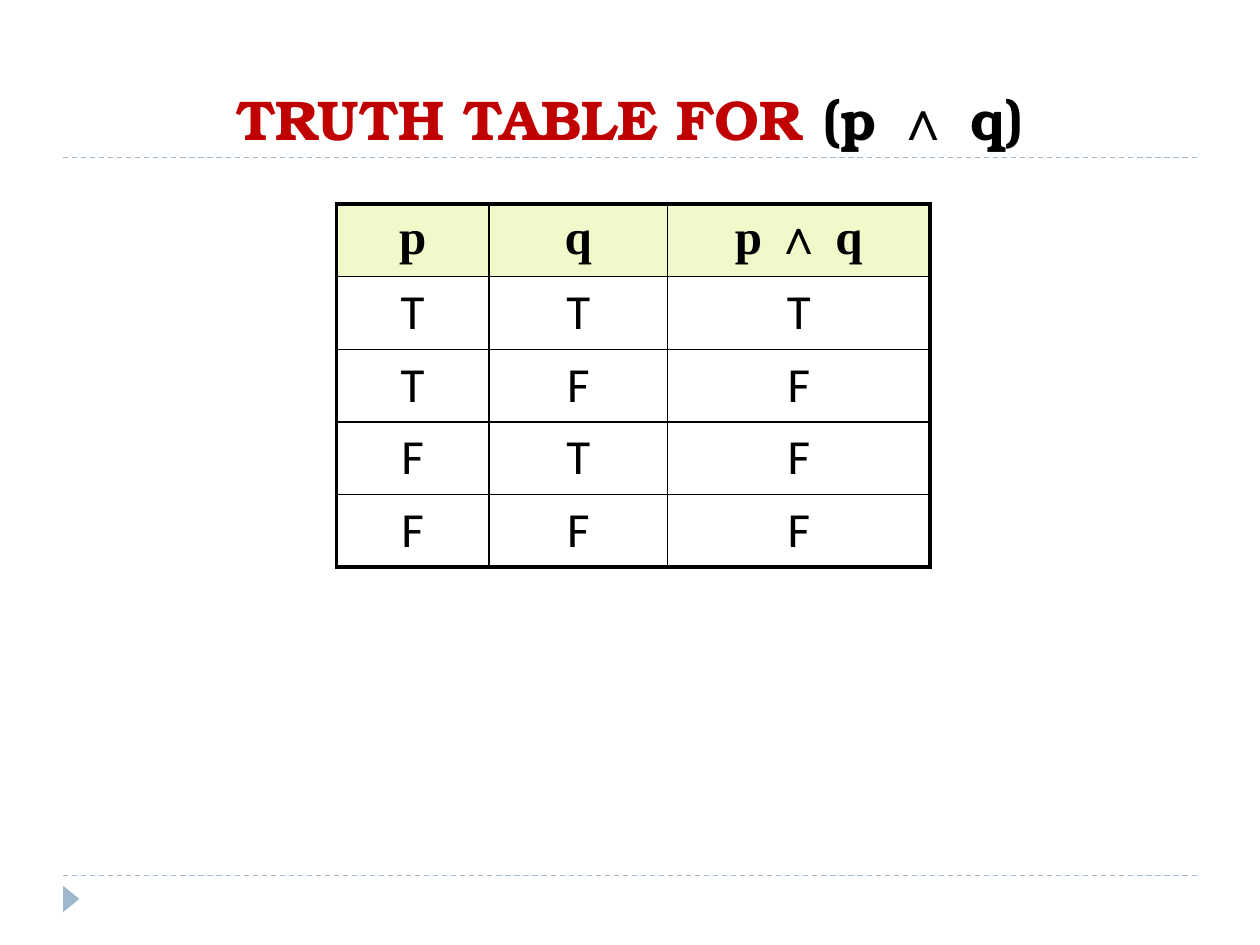
from lxml import etree
from pptx import Presentation
from pptx.dml.color import RGBColor
from pptx.enum import dml, shapes, text
from pptx.oxml.ns import qn
from pptx.util import Inches, Pt

# Content
TITLE = [("TRUTH TABLE FOR ", "C00000"), ("(p ∧ q)", "000000")]
ROWS = [
    ("p", "q", "p ∧ q"),
    ("T", "T", "T"),
    ("T", "F", "F"),
    ("F", "T", "F"),
    ("F", "F", "F"),
]
WIDTHS = (1.21, 1.42, 2.08)
HIGH = 0.576
BLUE, BLACK, GREEN = "9FB8CD", "000000", "F0F9C9"


def color(code):
    return RGBColor.from_string(code)


def write(para, words, size=28, face="Calibri", ink=BLACK, bold=False):
    para.alignment = text.PP_ALIGN.CENTER
    run = para.add_run()
    run.text = words
    font = run.font
    font.size, font.name, font.bold = Pt(size), face, bold
    font.color.rgb = color(ink)


def rule(slide, y):
    line = slide.shapes.add_connector(
        shapes.MSO_CONNECTOR.STRAIGHT, Inches(0.5), Inches(y), Inches(9.5), Inches(y))
    line.line.color.rgb = color(BLUE)
    line.line.width = Pt(0.75)
    line.line.dash_style = dml.MSO_LINE.DASH
    etree.SubElement(line._element.spPr, qn("a:effectLst"))


def border(cell, outer):
    """Draw all four sides, heavy where the side is on the table's edge."""
    props = cell._tc.get_or_add_tcPr()
    for spot, (side, heavy) in enumerate(outer.items()):
        edge = etree.Element(qn(f"a:ln{side}"), w=str(Pt(2.25 if heavy else 1)))
        fill = etree.SubElement(edge, qn("a:solidFill"))
        etree.SubElement(fill, qn("a:srgbClr"), val=BLACK)
        props.insert(spot, edge)


deck = Presentation()
deck.slide_width, deck.slide_height = Inches(10), Inches(7.5)
slide = deck.slides.add_slide(deck.slide_layouts[6])

# Dashed rules and corner marker
for y in (6.95, 1.25):
    rule(slide, y)
mark = slide.shapes.add_shape(
    shapes.MSO_SHAPE.ISOSCELES_TRIANGLE,
    Inches(0.46), Inches(7.07), Inches(0.21), Inches(0.13))
mark.rotation = 90
mark.shadow.inherit = False
mark.fill.solid()
mark.fill.fore_color.rgb = color(BLUE)
mark.line.fill.background()

# Title
box = slide.shapes.add_textbox(Inches(0.5), Inches(0.17), Inches(9), Inches(1.08))
frame = box.text_frame
frame.word_wrap = True
frame.vertical_anchor = text.MSO_ANCHOR.BOTTOM
for words, ink in TITLE:
    write(frame.paragraphs[0], words, size=32, face="TeX Gyre Bonum", ink=ink, bold=True)

# Truth table
grid = slide.shapes.add_table(
    len(ROWS), len(WIDTHS), Inches(2.67), Inches(1.62),
    Inches(sum(WIDTHS)), Inches(HIGH * len(ROWS))).table
for col, wide in zip(grid.columns, WIDTHS):
    col.width = Inches(wide)
for r, row in enumerate(ROWS):
    grid.rows[r].height = Inches(HIGH)
    head = r == 0
    for c, words in enumerate(row):
        cell = grid.cell(r, c)
        if head:
            cell.fill.solid()
            cell.fill.fore_color.rgb = color(GREEN)
        else:
            cell.fill.background()
        border(cell, {"L": c == 0, "R": c == len(row) - 1,
                      "T": head, "B": r == len(ROWS) - 1})
        write(cell.text_frame.paragraphs[0], words, bold=head,
              face="Times New Roman" if head else "Calibri")

deck.save("out.pptx")
